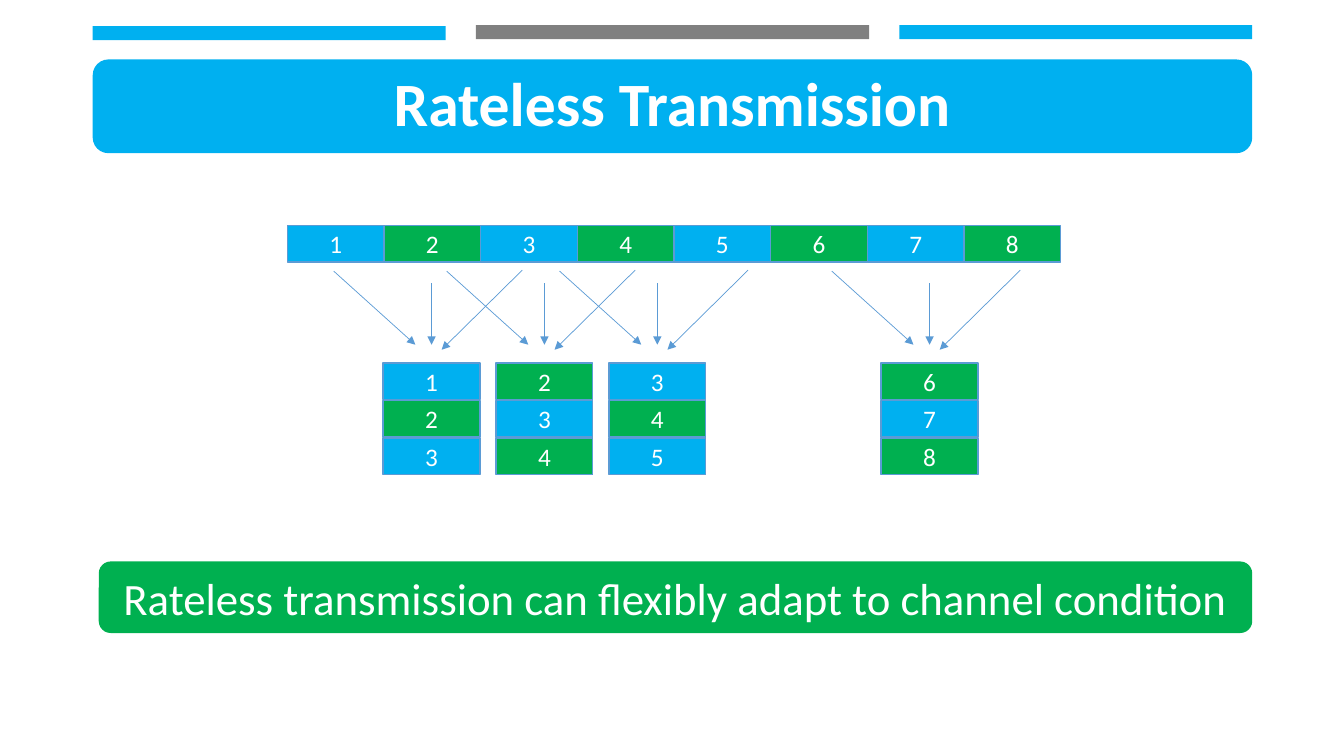
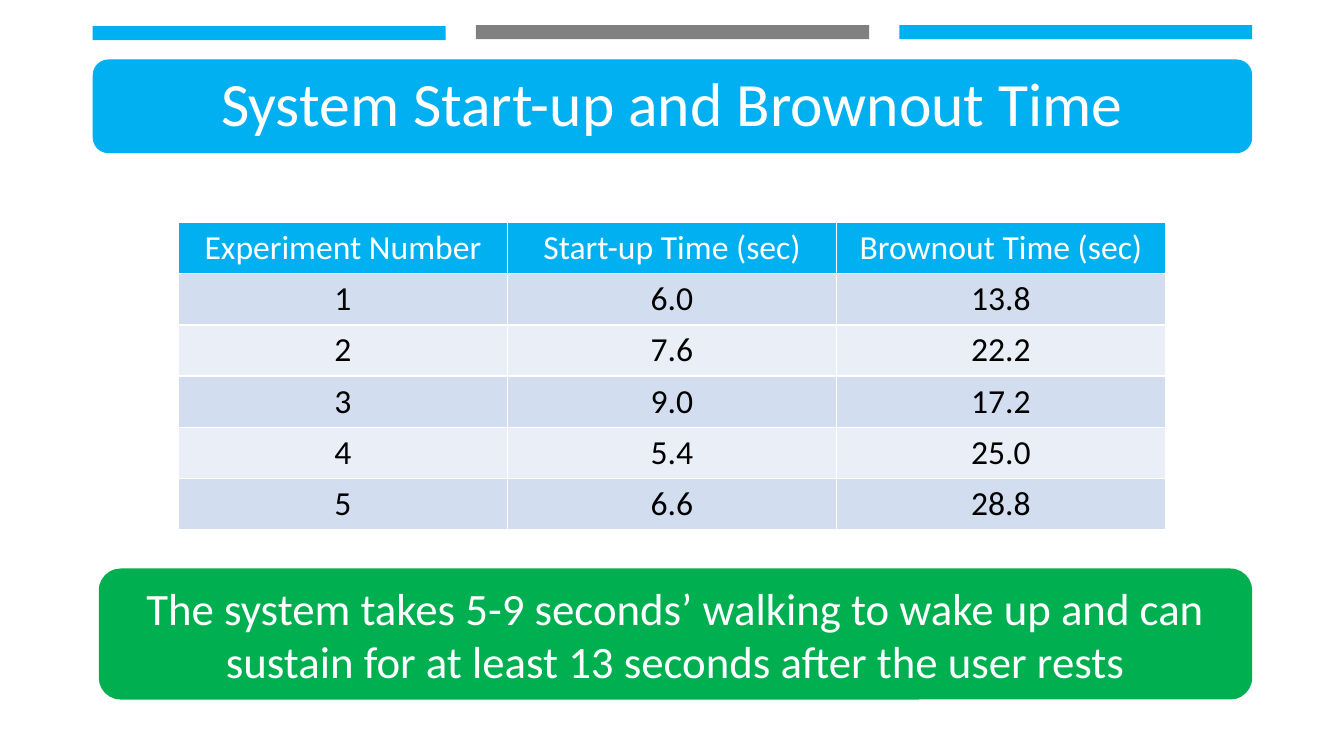
from lxml.etree import SubElement
from pptx import Presentation
from pptx.dml.color import RGBColor
from pptx.enum.shapes import MSO_CONNECTOR, MSO_SHAPE
from pptx.enum.text import MSO_ANCHOR, PP_ALIGN
from pptx.oxml.ns import qn
from pptx.util import Inches, Pt

FONT = "Calibri"
BLUE, GREEN, GRAY = "00B0F0", "00B050", "808080"
WHITE, BLACK, OUTLINE = "FFFFFF", "000000", "5B9BD5"
ROW_TINTS = ("D2DEEF", "EAEFF7")

# Content column shared by the bands, the title and the callouts
LEFT, WIDTH = 0.92, 11.5
BAND_GAP, BAND_HEIGHT = 0.3, 0.14
BANDS = [(3.5, 0.26, BLUE), (3.9, 0.25, GRAY), (3.5, 0.25, BLUE)]
TITLE_BOX = (LEFT, 0.59, WIDTH, 0.93)


def rgb(color):
    return RGBColor.from_string(color)


def style_text(frame, size, color, bold=False):
    frame.word_wrap = True
    for paragraph in frame.paragraphs:
        paragraph.alignment = PP_ALIGN.CENTER
        paragraph.font.name = FONT
        paragraph.font.size = Pt(size)
        paragraph.font.bold = bold
        paragraph.font.color.rgb = rgb(color)


def add_block(slide, box, fill, text="", size=18, bold=False,
              outline=None, kind=MSO_SHAPE.RECTANGLE):
    block = slide.shapes.add_shape(kind, *map(Inches, box))
    block.shadow.inherit = False
    block.fill.solid()
    block.fill.fore_color.rgb = rgb(fill)
    if outline:
        block.line.color.rgb = rgb(outline)
        block.line.width = Pt(1)
    else:
        block.line.fill.background()
    if text:
        frame = block.text_frame
        frame.text = text
        frame.vertical_anchor = MSO_ANCHOR.MIDDLE
        frame.margin_top = frame.margin_bottom = Inches(0.05)
        style_text(frame, size, WHITE, bold)
    return block


def add_arrow(slide, start, end):
    arrow = slide.shapes.add_connector(
        MSO_CONNECTOR.STRAIGHT, *map(Inches, (*start, *end)))
    arrow.line.color.rgb = rgb(OUTLINE)
    arrow.line.width = Pt(0.5)
    SubElement(arrow.line._get_or_add_ln(), qn("a:tailEnd"), type="triangle")
    SubElement(arrow._element.spPr, qn("a:effectLst"))


def add_framed_slide(prs, title, bold=False):
    """Blank slide with the three top bands and the title bar."""
    slide = prs.slides.add_slide(prs.slide_layouts[6])
    x = LEFT
    for width, top, color in BANDS:
        add_block(slide, (x, top, width, BAND_HEIGHT), color)
        x += width + BAND_GAP
    bar = add_block(slide, TITLE_BOX, BLUE, title, 44, bold,
                    kind=MSO_SHAPE.ROUNDED_RECTANGLE)
    bar.text_frame.paragraphs[0].line_spacing = 0.9
    return slide


def add_callout(slide, top, height, text):
    add_block(slide, (LEFT + 0.06, top, WIDTH - 0.06, height), GREEN, text, 32,
              kind=MSO_SHAPE.ROUNDED_RECTANGLE)


def add_symbol(slide, box, number):
    """Numbered cell: odd numbers are blue, even ones green."""
    add_block(slide, box, BLUE if number % 2 else GREEN, str(number),
              outline=OUTLINE)


def add_symbol_strip(slide, box, count):
    left, top, width, height = box
    step = width / count
    for i in range(count):
        add_symbol(slide, (left + i * step, top, step, height), i + 1)


def add_packet(slide, box, first, count=3):
    """Stack of consecutive symbols with three arrows coming down to it."""
    left, top, width, height = box
    step = height / count
    for i in range(count):
        add_symbol(slide, (left, top + i * step, width, step - 0.01), first + i)
    center = left + width / 2
    # Each arrow: start and end, as offsets from the middle of the top side
    for x1, y1, x2, y2 in [(-0.97, -0.91, -0.16, -0.18),
                           (0, -0.79, 0, -0.18),
                           (0.9, -0.92, 0.1, -0.13)]:
        add_arrow(slide, (center + x1, top + y1), (center + x2, top + y2))


def add_results_table(slide, box, rows):
    table = slide.shapes.add_table(
        len(rows), len(rows[0]), *map(Inches, box)).table
    for r, row in enumerate(rows):
        fill = ROW_TINTS[(r - 1) % 2] if r else BLUE
        for c, value in enumerate(row):
            cell = table.cell(r, c)
            cell.text = value
            cell.fill.solid()
            cell.fill.fore_color.rgb = rgb(fill)
            style_text(cell.text_frame, 24, BLACK if r else WHITE)


def build_rateless_slide(prs):
    slide = add_framed_slide(prs, "Rateless Transmission", bold=True)
    add_symbol_strip(slide, (2.85, 2.24, 7.67, 0.36), 8)
    for left, first in [(3.8, 1), (4.92, 2), (6.04, 3), (8.74, 6)]:
        add_packet(slide, (left, 3.6, 0.96, 1.12), first)
    add_callout(slide, 5.57, 0.71,
                "Rateless transmission can flexibly adapt to channel condition")


def build_timing_slide(prs):
    slide = add_framed_slide(prs, "System Start-up and Brownout Time")
    add_results_table(slide, (1.77, 2.21, 9.79, 3.03), [
        ("Experiment Number", "Start-up Time (sec)", "Brownout Time (sec)"),
        ("1", "6.0", "13.8"),
        ("2", "7.6", "22.2"),
        ("3", "9.0", "17.2"),
        ("4", "5.4", "25.0"),
        ("5", "6.6", "28.8"),
    ])
    add_callout(slide, 5.64, 1.3,
                "The system takes 5-9 seconds’ walking to wake up and can "
                "sustain for at least 13 seconds after the user rests")


def main():
    prs = Presentation()
    prs.slide_width, prs.slide_height = Inches(13.33), Inches(7.5)
    build_rateless_slide(prs)
    build_timing_slide(prs)
    prs.save("out.pptx")


if __name__ == "__main__":
    main()
